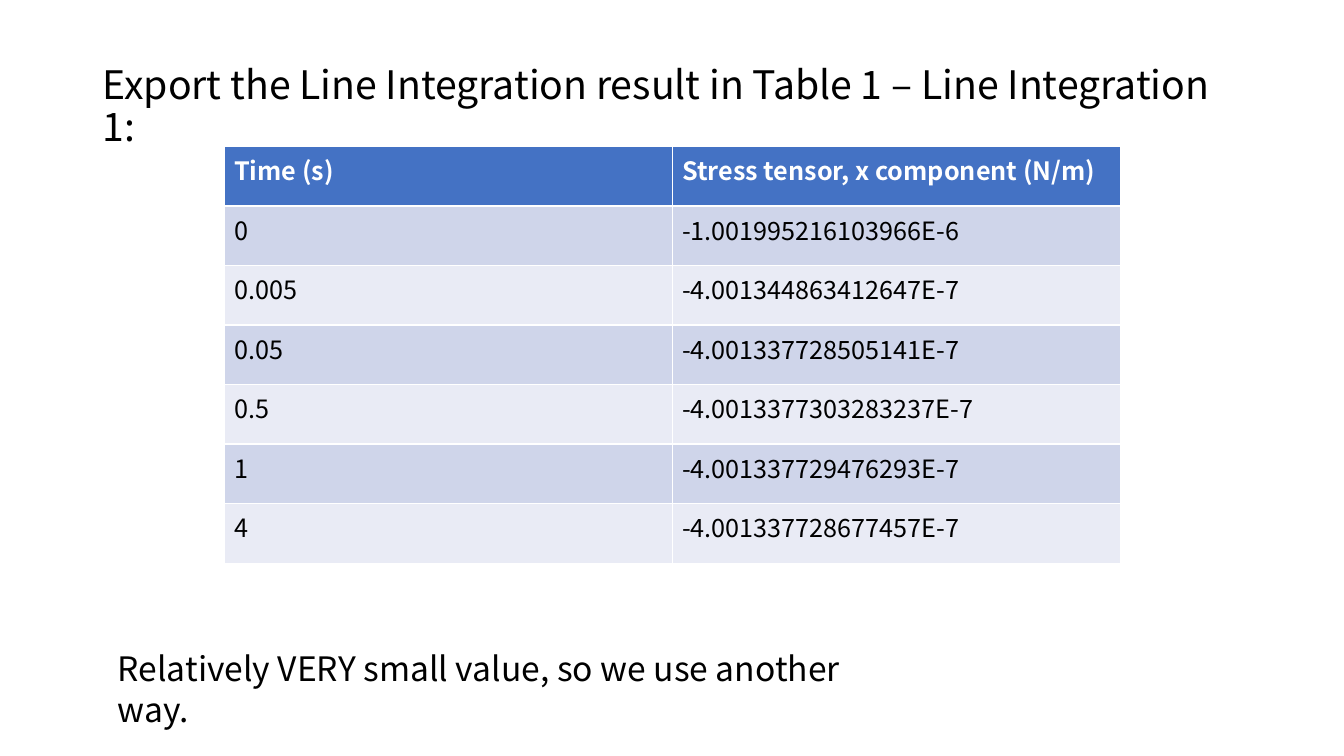
"""Build the line integration results slide."""
import pptx
import pptx.dml.color
import pptx.enum.text
import pptx.util
from dataclasses import dataclass

Cm = pptx.util.Cm
TITLE = "Export the Line Integration result in Table 1 – Line Integration 1:"
REMARK = "Relatively VERY small value, so we use another way."
HEADER = ("Time (s)", "Stress tensor, x component (N/m)")
RESULTS = [
    ("0", "-1.001995216103966E-6"),
    ("0.005", "-4.001344863412647E-7"),
    ("0.05", "-4.001337728505141E-7"),
    ("0.5", "-4.0013377303283237E-7"),
    ("1", "-4.001337729476293E-7"),
    ("4", "-4.001337728677457E-7"),
]
TITLE_AREA = (2.33, 1.52, 29.21, 15.62)
TABLE_AREA = (5.65, 3.69, 22.58, 10.5)
REMARK_AREA = (2.72, 16.21, 19.18, 1.28)


@dataclass(frozen=True)
class Theme:
    """Colours, font and type sizes of the slide."""
    font: str = "Noto Sans CJK SC"
    ink: str = "000000"
    header_ink: str = "FFFFFF"
    header_fill: str = "4472C4"
    bands: tuple = ("CFD5EA", "E9EBF5")
    title_size: int = 28
    remark_size: int = 24
    cell_size: int = 18


THEME = Theme()


def colour(code):
    """Return the colour for a hexadecimal code."""
    return pptx.dml.color.RGBColor.from_string(code)


def write(frame, text, size, ink=THEME.ink, bold=False, line_spacing=None):
    """Write one formatted paragraph into a text frame."""
    para = frame.paragraphs[0]
    para.alignment = pptx.enum.text.PP_ALIGN.LEFT
    para.line_spacing = line_spacing
    span = para.add_run()
    span.text = text
    span.font.name = THEME.font
    span.font.size = pptx.util.Pt(size)
    span.font.bold = bold
    span.font.color.rgb = colour(ink)


def add_title(page):
    """Place the title at the top of its area."""
    box = page.shapes.title
    box.left, box.top, box.width, box.height = map(Cm, TITLE_AREA)
    frame = box.text_frame
    frame.word_wrap = True
    frame.auto_size = pptx.enum.text.MSO_AUTO_SIZE.NONE
    frame.vertical_anchor = pptx.enum.text.MSO_ANCHOR.TOP
    write(frame, TITLE, THEME.title_size, line_spacing=0.9)


def add_results(page):
    """Add the table with its header and banded rows."""
    rows = [HEADER, *RESULTS]
    table = page.shapes.add_table(len(rows), len(HEADER), *map(Cm, TABLE_AREA)).table
    for row_index, row in enumerate(rows):
        is_header = row_index == 0
        fill = THEME.header_fill if is_header else THEME.bands[(row_index - 1) % 2]
        ink = THEME.header_ink if is_header else THEME.ink
        for column_index, text in enumerate(row):
            cell = table.cell(row_index, column_index)
            cell.fill.solid()
            cell.fill.fore_color.rgb = colour(fill)
            write(cell.text_frame, text, THEME.cell_size, ink=ink, bold=is_header)


def add_remark(page):
    """Add the remark below the table."""
    frame = page.shapes.add_textbox(*map(Cm, REMARK_AREA)).text_frame
    frame.word_wrap = True
    write(frame, REMARK, THEME.remark_size)


def main():
    """Build and save the deck."""
    deck = pptx.Presentation()
    deck.slide_width, deck.slide_height = Cm(33.87), Cm(19.05)
    page = deck.slides.add_slide(deck.slide_layouts[5])
    add_title(page)
    add_results(page)
    add_remark(page)
    deck.save("out.pptx")


if __name__ == "__main__":
    main()
